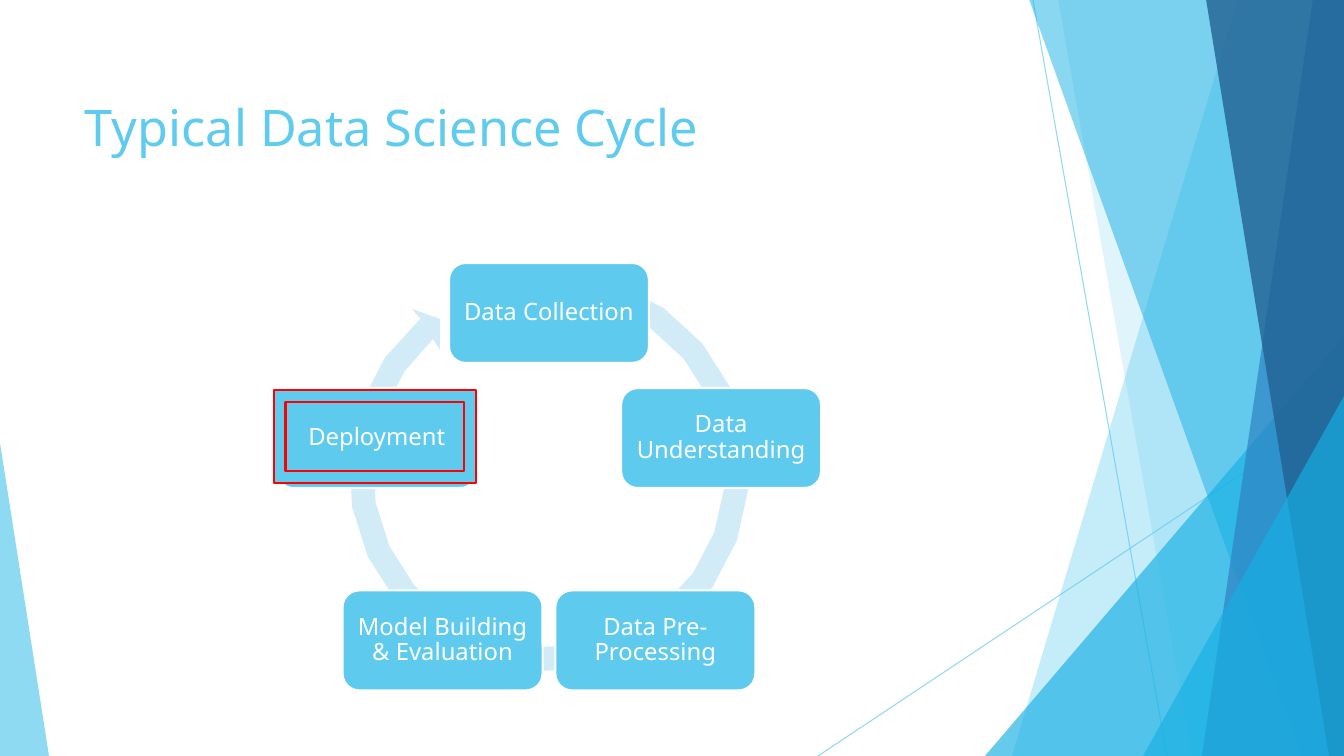
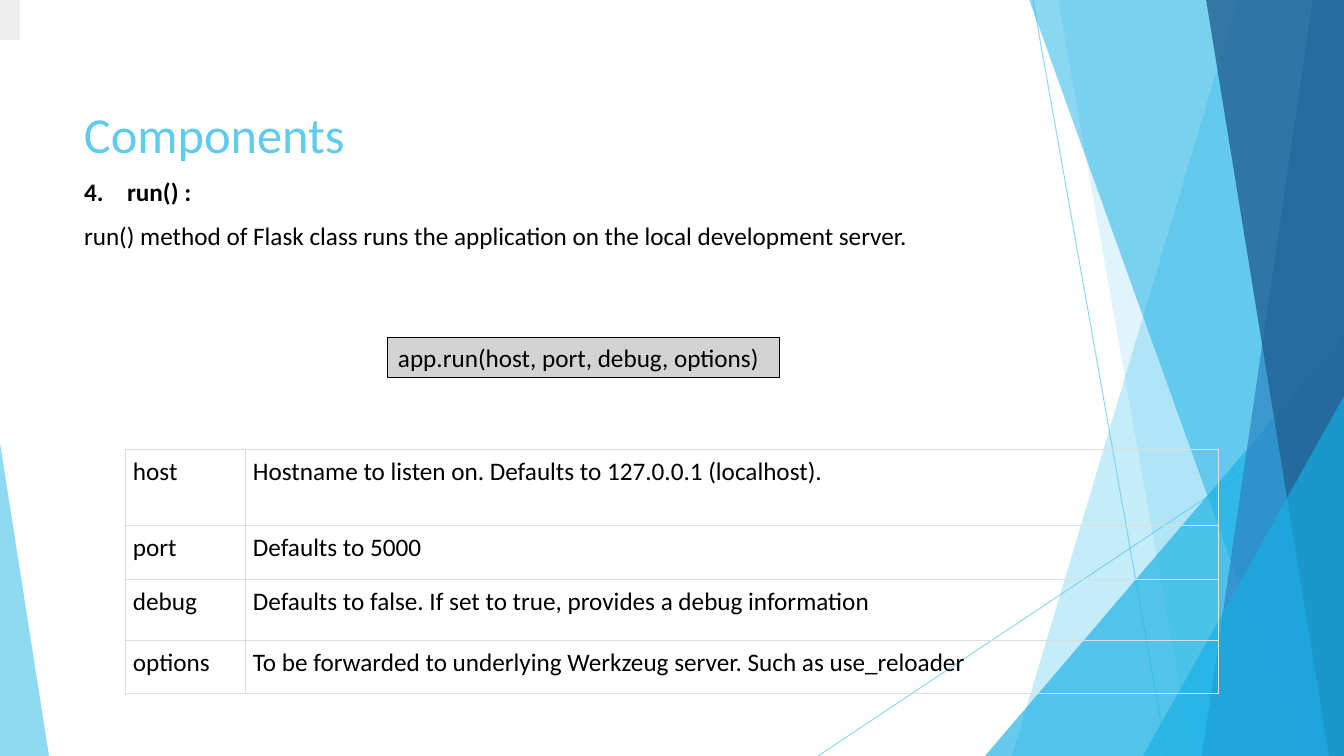
import math
from lxml import etree
from pptx import Presentation, util as u
from pptx.dml.color import RGBColor
from pptx.enum import shapes, text
from pptx.oxml.ns import qn

# Content
CYCLE_TITLE = "Typical Data Science Cycle"
STEPS = ["Data Collection", "Data Understanding", "Data Pre-Processing",
         "Model Building & Evaluation", "Deployment"]
PARTS_TITLE = "Components"
BODY = ["4.\trun() :",
        "run()\u00a0method of Flask class runs the application on the local development server."]
CALL = "app.run(host, port, debug, options)"
OPTIONS = [
    ("host", "Hostname to listen on. Defaults to 127.0.0.1 (localhost)."),
    ("port", "Defaults to 5000"),
    ("debug", "Defaults to false. If set to true, provides a debug information"),
    ("options", "To be forwarded to underlying Werkzeug server. Such as use_reloader"),
]

# Shared look, lengths in pixels
SCALE = 914400 / 100.8
WIDTH, HEIGHT = 1344, 756
SKY, AZURE, BLUE, NAVY = "5FCBEF", "17B0E4", "2E83C3", "226292"
NODE, RING = "5ECBEE", "D1ECF7"
WHITE, BLACK, RED = "FFFFFF", "000000", "FF0000"
CODE_GREY, TAB_GREY, BORDER = "D3D3D3", "EEEEEE", "DDDDDD"
SANS, CALIBRI = "Noto Sans", "Calibri"
TOP, MIDDLE, BOTTOM = (text.MSO_ANCHOR.TOP, text.MSO_ANCHOR.MIDDLE,
                       text.MSO_ANCHOR.BOTTOM)
LEFT, CENTER, JUSTIFY = (text.PP_ALIGN.LEFT, text.PP_ALIGN.CENTER,
                         text.PP_ALIGN.JUSTIFY)
KIND = shapes.MSO_SHAPE

# Background: thin lines, then facets as (colour, opacity, geometry).
# A band has top and bottom x and reaches the right edge;
# a triangle has left, top, width, height and the place of its apex.
RAYS = [((1033, 0), (1167, HEIGHT)), ((WIDTH, 406), (818, HEIGHT))]
FACETS = [
    (SKY, 36, (1238, 1012)),
    (SKY, 20, (1058, 1192)),
    (AZURE, 66, (985, 336, 359, 420, 1)),
    (AZURE, 50, (1029, 1301)),
    (BLUE, 70, (1313, 1202)),
    (NAVY, 80, (1206, 1329)),
    (AZURE, 66, (1143, 396, 201, 360, 1)),
    (SKY, 70, (0, 443, 49, 313, 0)),
]


def px(value):
    return u.Emu(round(value * SCALE))


def color(value):
    return RGBColor.from_string(value)


def fade(shape, percent):
    for tint in shape._element.iter(qn("a:srgbClr")):
        etree.SubElement(tint, qn("a:alpha"), val=str(percent * 1000))


def paint(shape, fill, line=None, weight=0.75):
    shape.shadow.inherit = False
    shape.fill.solid()
    shape.fill.fore_color.rgb = color(fill)
    if line:
        shape.line.color.rgb = color(line)
        shape.line.width = u.Pt(weight)
    else:
        shape.line.fill.background()
    return shape


def add_preset(page, kind, area, fill, line=None, weight=0.75):
    shape = page.shapes.add_shape(kind, *map(px, area))
    return paint(shape, fill, line, weight)


def add_outline(page, points, fill):
    corners = [(px(x), px(y)) for x, y in points]
    builder = page.shapes.build_freeform(*corners[0])
    builder.add_line_segments(corners[1:], close=True)
    return paint(builder.convert_to_shape(), fill)


def style(para, size, font, tint, bold=False, align=LEFT):
    para.alignment = align
    for span in para.runs:
        span.font.size = u.Pt(size)
        span.font.name = font
        span.font.bold = bold
        span.font.color.rgb = color(tint)


def set_frame(frame, anchor, sides=10, ends=5):
    frame.word_wrap = True
    frame.vertical_anchor = anchor
    frame.margin_left = frame.margin_right = px(sides)
    frame.margin_top = frame.margin_bottom = px(ends)


def add_page(deck, title, font, area, anchor):
    page = deck.slides.add_slide(deck.slide_layouts[6])
    for start, end in RAYS:
        ray = page.shapes.add_connector(shapes.MSO_CONNECTOR.STRAIGHT,
                                        *map(px, start + end))
        ray.line.color.rgb = color(SKY)
        ray.line.width = u.Pt(0.75)
        fade(ray, 70)
        etree.SubElement(ray._element.spPr, qn("a:effectLst"))
    for tint, opacity, geometry in FACETS:
        if len(geometry) == 2:
            top_x, bottom_x = geometry
            facet = add_outline(page, [(top_x, -1), (WIDTH, -1), (WIDTH, HEIGHT),
                                       (bottom_x, HEIGHT)], tint)
        else:
            *place, apex = geometry
            facet = add_preset(page, KIND.ISOSCELES_TRIANGLE, place, tint)
            facet.adjustments[0] = apex
        fade(facet, opacity)
    box = page.shapes.add_textbox(*map(px, area))
    set_frame(box.text_frame, anchor)
    box.text_frame.text = title
    style(box.text_frame.paragraphs[0], 36, font, SKY)
    return page


def on_circle(center, radius, degrees):
    angle = math.radians(degrees)
    return (center[0] + radius * math.sin(angle),
            center[1] - radius * math.cos(angle))


def add_cycle(page):
    # Ring with arrowhead, clockwise from the first step
    hub, outer, inner = (549, 472), 200, 176
    sweep = range(20, 321, 15)
    arrowhead = [(412, 309), (440, 319), (440, 350), (433, 339)]
    ring = [on_circle(hub, outer, turn) for turn in sweep]
    ring += arrowhead
    ring += [on_circle(hub, inner, turn) for turn in reversed(sweep[:-1])]
    add_outline(page, ring, RING)

    # Steps on a regular polygon
    wide, high = 200, 100
    for index, step in enumerate(STEPS):
        x, y = on_circle((549, 494), 181, index * 360 / len(STEPS))
        node = add_preset(page, KIND.ROUNDED_RECTANGLE,
                          (x - wide / 2, y - high / 2, wide, high),
                          NODE, WHITE, 1.5)
        set_frame(node.text_frame, MIDDLE, 7, 7)
        node.text_frame.text = step
        para = node.text_frame.paragraphs[0]
        para.line_spacing = 0.9
        style(para, 17, SANS, WHITE, align=CENTER)

    # Highlight on the last step
    add_preset(page, KIND.FRAME, (274, 390, 202, 93), SKY, RED, 1.5)


def add_body(page):
    box = page.shapes.add_textbox(*map(px, (74, 171, 1166, 525)))
    frame = box.text_frame
    set_frame(frame, TOP)
    frame.text = "\n".join(BODY)
    for index, para in enumerate(frame.paragraphs):
        para.space_before = u.Pt(10)
        style(para, 18, CALIBRI, BLACK, bold=index == 0)
    hanging = frame.paragraphs[0]._p.get_or_add_pPr()
    hanging.set("marL", str(px(43)))
    hanging.set("indent", str(px(-43)))


def set_borders(cell):
    props = cell._tc.get_or_add_tcPr()
    for position, side in enumerate(("a:lnL", "a:lnR", "a:lnT", "a:lnB")):
        edge = etree.Element(qn(side), w=str(u.Pt(0.75)))
        fill = etree.SubElement(edge, qn("a:solidFill"))
        etree.SubElement(fill, qn("a:srgbClr"), val=BORDER)
        props.insert(position, edge)


def add_options(page):
    columns, rows = (120, 973), (76, 54, 61, 54)
    area = (125, 449, sum(columns), sum(rows))
    table = page.shapes.add_table(len(rows), len(columns), *map(px, area)).table
    table.first_row = table.horz_banding = False
    for column, wide in zip(table.columns, columns):
        column.width = px(wide)
    for row, high, entries in zip(table.rows, rows, OPTIONS):
        row.height = px(high)
        for cell, entry, align in zip(row.cells, entries, (LEFT, JUSTIFY)):
            cell.fill.background()
            cell.margin_left = cell.margin_right = px(8)
            cell.margin_top = cell.margin_bottom = px(8)
            cell.text = entry
            style(cell.text_frame.paragraphs[0], 18, CALIBRI, BLACK, align=align)
            set_borders(cell)


deck = Presentation()
deck.slide_width, deck.slide_height = px(WIDTH), px(HEIGHT)

# Slide 1: cycle
cycle = add_page(deck, CYCLE_TITLE, SANS, (75, 91, 948, 145), TOP)
add_cycle(cycle)

# Slide 2: method, call and its options
parts = add_page(deck, PARTS_TITLE, CALIBRI, (74, 96, 948, 73), BOTTOM)
add_body(parts)
add_preset(parts, KIND.RECTANGLE, (0, 0, 20, 40), TAB_GREY)
call = add_preset(parts, KIND.RECTANGLE, (388, 338, 392, 40), CODE_GREY, BLACK)
set_frame(call.text_frame, TOP, ends=4)
call.text_frame.text = CALL
style(call.text_frame.paragraphs[0], 18, CALIBRI, BLACK)
add_options(parts)

deck.save("out.pptx")
